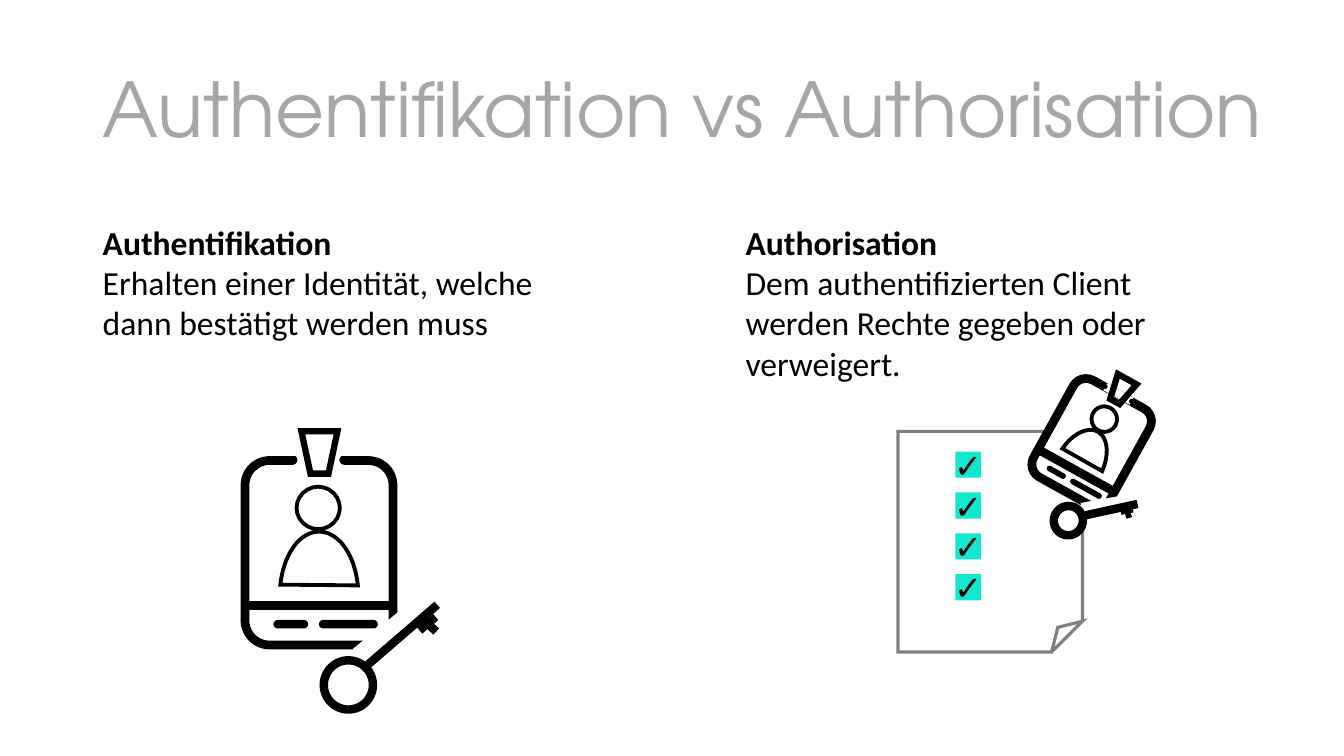
import dataclasses
import math

import lxml.etree
import pptx
import pptx.dml.color
import pptx.enum.shapes
import pptx.enum.text
import pptx.oxml.ns
import pptx.util

Cm = pptx.util.Cm
Pt = pptx.util.Pt
SHAPE = pptx.enum.shapes.MSO_SHAPE
ALIGN = pptx.enum.text.PP_ALIGN
ANCHOR = pptx.enum.text.MSO_ANCHOR


@dataclasses.dataclass(frozen=True)
class Theme:
    ink: str = "000000"
    paper: str = "FFFFFF"
    title: str = "A6A6A6"
    sheet: str = "808080"
    check: str = "11E9CF"
    title_font: str = "TeX Gyre Adventor"
    body_font: str = "Calibri"
    title_size: float = 54
    body_size: float = 24
    hairline: float = 1
    sheet_line: float = 2.25
    figure_line: float = 2.75
    clip_line: float = 4.5
    key_line: float = 6
    frame_line: float = 6.25


THEME = Theme()


def rgb(color):
    return pptx.dml.color.RGBColor.from_string(color)


def write_text(frame, lines, font=THEME.body_font, size=THEME.body_size, color=THEME.ink,
               align=ALIGN.LEFT, anchor=ANCHOR.TOP, spacing=None, wrap=True, bold_first=False):
    """Write lines into one paragraph, separated by line breaks."""
    frame.word_wrap = wrap
    frame.vertical_anchor = anchor
    paragraph = frame.paragraphs[0]
    paragraph.alignment = align
    if spacing:
        paragraph.line_spacing = spacing
    for index, line in enumerate(lines):
        if index:
            paragraph.add_line_break()
        run = paragraph.add_run()
        run.text = line
        run.font.name = font
        run.font.size = Pt(size)
        run.font.bold = bold_first and index == 0
        run.font.color.rgb = rgb(color)


def add_text(slide, box, lines, **text_format):
    shape = slide.shapes.add_textbox(*map(Cm, box))
    write_text(shape.text_frame, lines, **text_format)
    return shape


def style_line(line, color, width):
    line.color.rgb = rgb(color)
    line.width = Pt(width)


def add_shape(shapes, kind, box, fill=None, line=None, rotation=0, adjustments=()):
    """Add a preset shape; line is a pair of colour and width."""
    shape = shapes.add_shape(kind, *map(Cm, box))
    shape.shadow.inherit = False
    shape.rotation = rotation % 360
    for index, value in enumerate(adjustments):
        shape.adjustments[index] = value
    if fill:
        shape.fill.solid()
        shape.fill.fore_color.rgb = rgb(fill)
    else:
        shape.fill.background()
    if line:
        style_line(shape.line, *line)
        outline = shape.line._get_or_add_ln()
        lxml.etree.SubElement(outline, pptx.oxml.ns.qn("a:miter"), lim="800000")
    else:
        shape.line.fill.background()
    return shape


def add_line(shapes, start, end, color, width):
    straight = pptx.enum.shapes.MSO_CONNECTOR.STRAIGHT
    connector = shapes.add_connector(straight, *map(Cm, (*start, *end)))
    style_line(connector.line, color, width)
    lxml.etree.SubElement(connector._element.spPr, pptx.oxml.ns.qn("a:effectLst"))


def add_checklist(slide):
    shapes = slide.shapes.add_group_shape().shapes
    for row in range(4):
        box = add_shape(shapes, SHAPE.RECTANGLE, (24.08, 11.38 + 1.03 * row, 0.64, 0.66),
                        fill=THEME.check)
        frame = box.text_frame
        frame.margin_left = frame.margin_right = frame.margin_top = frame.margin_bottom = 0
        write_text(frame, ["✓"], align=ALIGN.CENTER, anchor=ANCHOR.MIDDLE, wrap=False)
    add_shape(shapes, SHAPE.FOLDED_CORNER, (22.63, 10.87, 4.65, 5.56),
              line=(THEME.sheet, THEME.sheet_line))


def add_badge(slide, center, scale=(1, 1), turn=0, ring_fill=None):
    """Draw an ID badge with a key; parts are placed from the badge centre."""
    shapes = slide.shapes.add_group_shape().shapes
    cosine, sine = math.cos(math.radians(turn)), math.sin(math.radians(turn))

    def place(x, y):
        x, y = x * scale[0], y * scale[1]
        return center[0] + x * cosine - y * sine, center[1] + x * sine + y * cosine

    def part(kind, x, y, width, height, rotation=0, **style):
        across, down = scale[::-1] if rotation == 90 else scale
        width, height = width * across, height * down
        middle_x, middle_y = place(x, y)
        box = (middle_x - width / 2, middle_y - height / 2, width, height)
        add_shape(shapes, kind, box, rotation=rotation + turn, **style)

    def stroke(start, end, width):
        add_line(shapes, place(*start), place(*end), THEME.ink, width)

    ink_line = (THEME.ink, THEME.hairline)
    figure = (THEME.ink, THEME.figure_line)

    # Frame with a gap for the clip
    part(SHAPE.ROUNDED_RECTANGLE, 0, 0, 3.73, 4.65,
         fill=THEME.paper, line=(THEME.ink, THEME.frame_line))
    for x, rotation in ((0.24, 0), (-0.27, 180)):
        part(SHAPE.FLOWCHART_STORED_DATA, x, -2.34, 0.76, 0.28, rotation,
             fill=THEME.paper, line=(THEME.paper, THEME.hairline))

    # Name strip
    stroke((-1.79, 1.33), (1.84, 1.33), THEME.frame_line)
    for x, width in ((0.74, 1.45), (-0.71, 0.84)):
        part(SHAPE.ROUNDED_RECTANGLE, x, 1.8, width, 0.18,
             fill=THEME.ink, line=ink_line, adjustments=(0.5,))

    # Clip and person
    part(SHAPE.TRAPEZOID, 0.01, -2.53, 0.91, 1.07, 180, line=(THEME.ink, THEME.clip_line))
    part(SHAPE.OVAL, -0.02, -1.13, 1.09, 1.07, line=figure)
    part(SHAPE.CHORD, 0, 1.08, 3.23, 1.98, 90, line=figure, adjustments=(63.51, 153.12))

    # Key on a cleared corner
    part(SHAPE.RECTANGLE, 2.17, 2.04, 1.07, 2.54, 50.9, fill=THEME.paper)
    part(SHAPE.OVAL, 0.74, 3.33, 1.24, 1.24, -3.8,
         fill=ring_fill, line=(THEME.ink, THEME.key_line))
    stroke((1.16, 2.88), (2.98, 1.31), THEME.key_line)
    part(SHAPE.RECTANGLE, 2.74, 1.79, 0.53, 0.2, -40.3, fill=THEME.ink)
    part(SHAPE.RECTANGLE, 2.81, 1.85, 0.36, 0.18, 43.7, fill=THEME.ink, line=ink_line)


def main():
    presentation = pptx.Presentation()
    presentation.slide_width, presentation.slide_height = Cm(33.87), Cm(19.05)
    slide = presentation.slides.add_slide(presentation.slide_layouts[6])

    # Title
    add_text(slide, (2.34, 1.02, 30.4, 3.68), ["Authentifikation vs Authorisation"],
             font=THEME.title_font, size=THEME.title_size, color=THEME.title,
             anchor=ANCHOR.MIDDLE, spacing=0.9)

    # Definitions
    definitions = (
        (2.34, 3.33, "Authentifikation",
         "Erhalten einer Identität, welche dann bestätigt werden muss"),
        (18.54, 4.37, "Authorisation",
         "Dem authentifizierten Client werden Rechte gegeben oder verweigert."),
    )
    for left, height, term, meaning in definitions:
        box = add_text(slide, (left, 5.46, 13, height), [term, meaning], bold_first=True)
        box.text_frame.auto_size = pptx.enum.text.MSO_AUTO_SIZE.SHAPE_TO_FIT_TEXT

    # Checklist and badges
    add_checklist(slide)
    add_badge(slide, (8.04, 13.93))
    add_badge(slide, (27.51, 11.16), scale=(0.59, 0.6), turn=29, ring_fill=THEME.paper)

    presentation.save("out.pptx")


main()
